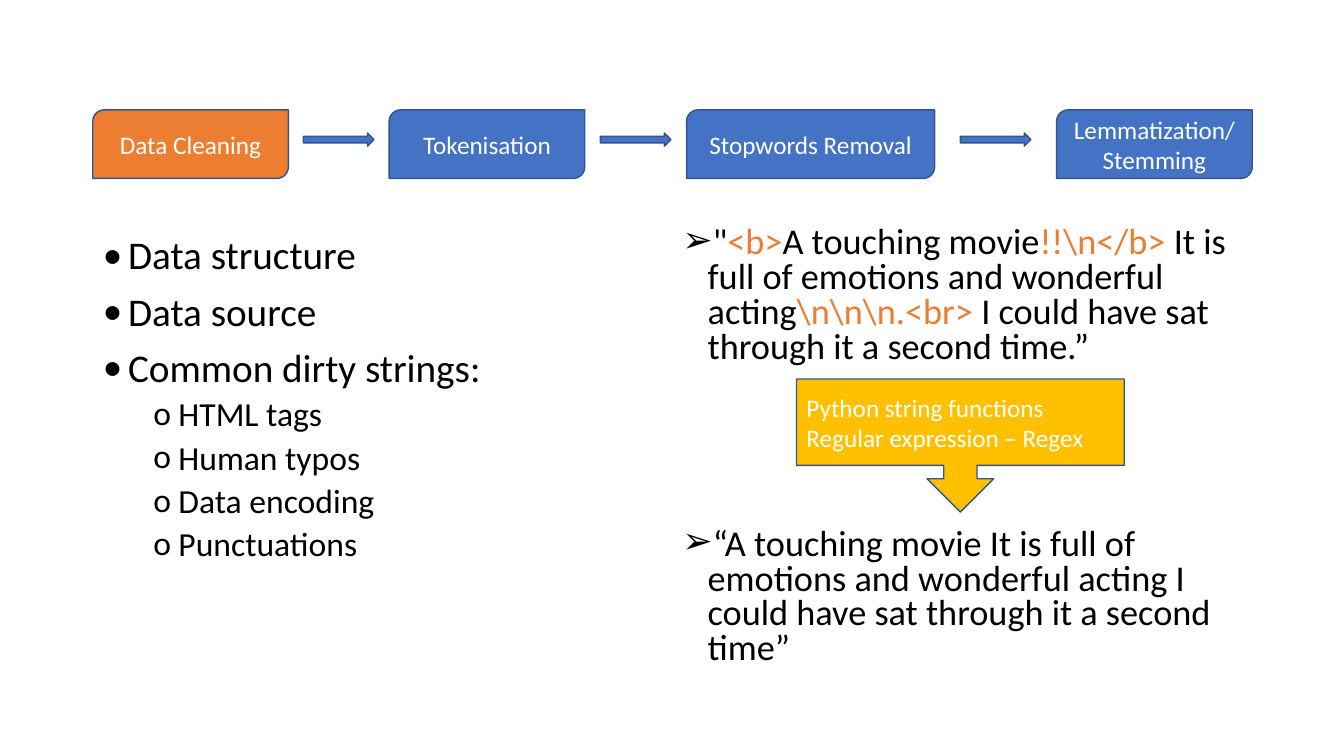
from dataclasses import dataclass

from lxml import etree
from pptx import Presentation
from pptx.dml.color import RGBColor
from pptx.enum.shapes import MSO_SHAPE
from pptx.enum.text import MSO_ANCHOR, MSO_AUTO_SIZE, PP_ALIGN
from pptx.oxml.ns import qn
from pptx.util import Inches, Pt

STEP_BOX = MSO_SHAPE.ROUND_2_DIAG_RECTANGLE
RIGHT_ARROW = MSO_SHAPE.RIGHT_ARROW
DOWN_CALLOUT = MSO_SHAPE.DOWN_ARROW_CALLOUT
MIDDLE = MSO_ANCHOR.MIDDLE
NO_AUTOFIT = MSO_AUTO_SIZE.NONE
LEFT, CENTER = PP_ALIGN.LEFT, PP_ALIGN.CENTER

FONT = "Calibri"
BLACK, WHITE = "000000", "FFFFFF"
BLUE, OUTLINE, ORANGE, GOLD = "4472C4", "325491", "ED7D31", "FFC000"

STEP_TOP, STEP_HEIGHT = 1.09, 0.68
ARROW_TOP, ARROW_WIDTH, ARROW_HEIGHT = 1.32, 0.7, 0.13
REVIEW_SIZE = 25.9


@dataclass(frozen=True)
class Step:
    label: str
    left: float
    width: float = 1.94
    fill: str = BLUE


@dataclass(frozen=True)
class Span:
    text: str
    color: str = BLACK


@dataclass(frozen=True)
class Item:
    spans: tuple[Span, ...]
    size: float
    bullet: str
    indent: float = 0.25
    level: int = 0
    before: float = 10
    line_spacing: float = 0.9


STEPS = (
    Step("Data Cleaning", 0.92, fill=ORANGE),
    Step("Tokenisation", 3.86),
    Step("Stopwords Removal", 6.81, width=2.46),
    Step("Lemmatization/Stemming", 10.48),
)
TOPICS = ("Data structure", "Data source", "Common dirty strings:")
DIRTY_STRINGS = ("HTML tags", "Human typos", "Data encoding", "Punctuations")
RAW_REVIEW = (
    Span('"'),
    Span("<b>", ORANGE),
    Span("A touching movie"),
    Span("!!\\n</b>", ORANGE),
    Span(" It is full of emotions and wonderful acting"),
    Span("\\n\\n\\n.<br> ", ORANGE),
    Span("I could have sat through it a second time.”"),
)
CLEAN_REVIEW = (
    Span("“A touching movie It is full of emotions and wonderful acting "
         "I could have sat through it a second time”"),
)


def rgb(color: str) -> RGBColor:
    return RGBColor.from_string(color)


def add_span(para, span: Span, size: float) -> None:
    run = para.add_run()
    run.text = span.text
    run.font.name = FONT
    run.font.size = Pt(size)
    run.font.color.rgb = rgb(span.color)


def set_bullet(para, item: Item) -> None:
    properties = para._p.get_or_add_pPr()
    properties.set("marL", str(Inches(item.indent)))
    properties.set("indent", str(Inches(-0.25)))
    etree.SubElement(properties, qn("a:buFont")).set("typeface", FONT)
    etree.SubElement(properties, qn("a:buChar")).set("char", item.bullet)


def fill_list(frame, items: list[Item]) -> None:
    frame.word_wrap = True
    frame.auto_size = NO_AUTOFIT
    for index, item in enumerate(items):
        para = frame.add_paragraph() if index else frame.paragraphs[0]
        para.level = item.level
        para.line_spacing = item.line_spacing
        para.space_before = Pt(item.before if index else 0)
        set_bullet(para, item)
        for span in item.spans:
            add_span(para, span, item.size)


def add_block(page, kind, left: float, top: float, width: float, height: float,
              fill: str, lines: tuple[str, ...] = (), align=CENTER) -> None:
    """Draw a filled, outlined shape with white 18-point lines of text."""
    block = page.shapes.add_shape(
        kind, Inches(left), Inches(top), Inches(width), Inches(height))
    block.shadow.inherit = False
    block.fill.solid()
    block.fill.fore_color.rgb = rgb(fill)
    block.line.color.rgb = rgb(OUTLINE)
    block.line.width = Pt(1)
    frame = block.text_frame
    frame.word_wrap = True
    frame.vertical_anchor = MIDDLE
    for index, line in enumerate(lines):
        para = frame.add_paragraph() if index else frame.paragraphs[0]
        para.alignment = align
        add_span(para, Span(line, WHITE), 18)


def add_topics(page) -> None:
    body = page.placeholders[1]
    body.left, body.top = Inches(0.92), Inches(2.29)
    body.width, body.height = Inches(4.5), Inches(4.12)
    topics = [Item((Span(text),), 28, "•") for text in TOPICS]
    details = [Item((Span(text),), 24, "o", indent=0.75, level=1, before=5)
               for text in DIRTY_STRINGS]
    fill_list(body.text_frame, topics + details)


def add_reviews(page) -> None:
    box = page.shapes.add_textbox(
        Inches(6.67), Inches(2.2), Inches(6.01), Inches(4.63))
    fill_list(box.text_frame, [
        Item(RAW_REVIEW, REVIEW_SIZE, "➢", line_spacing=0.8),
        Item(CLEAN_REVIEW, REVIEW_SIZE, "➢", line_spacing=0.8, before=116),
    ])


def add_pipeline(page) -> None:
    for step in STEPS:
        add_block(page, STEP_BOX, step.left, STEP_TOP, step.width, STEP_HEIGHT,
                  step.fill, (step.label,))
    for step, following in zip(STEPS, STEPS[1:]):
        gap_middle = (step.left + step.width + following.left) / 2
        add_block(page, RIGHT_ARROW, gap_middle - ARROW_WIDTH / 2, ARROW_TOP,
                  ARROW_WIDTH, ARROW_HEIGHT, BLUE)


def main() -> None:
    deck = Presentation()
    deck.slide_width, deck.slide_height = Inches(13.33), Inches(7.5)
    page = deck.slides.add_slide(deck.slide_layouts[1])
    title = page.shapes.title.element
    title.getparent().remove(title)
    add_topics(page)
    add_reviews(page)
    add_pipeline(page)
    add_block(page, DOWN_CALLOUT, 7.9, 3.76, 3.25, 1.32, GOLD,
              ("Python string functions", "Regular expression – Regex"), LEFT)
    deck.save("out.pptx")


if __name__ == "__main__":
    main()
